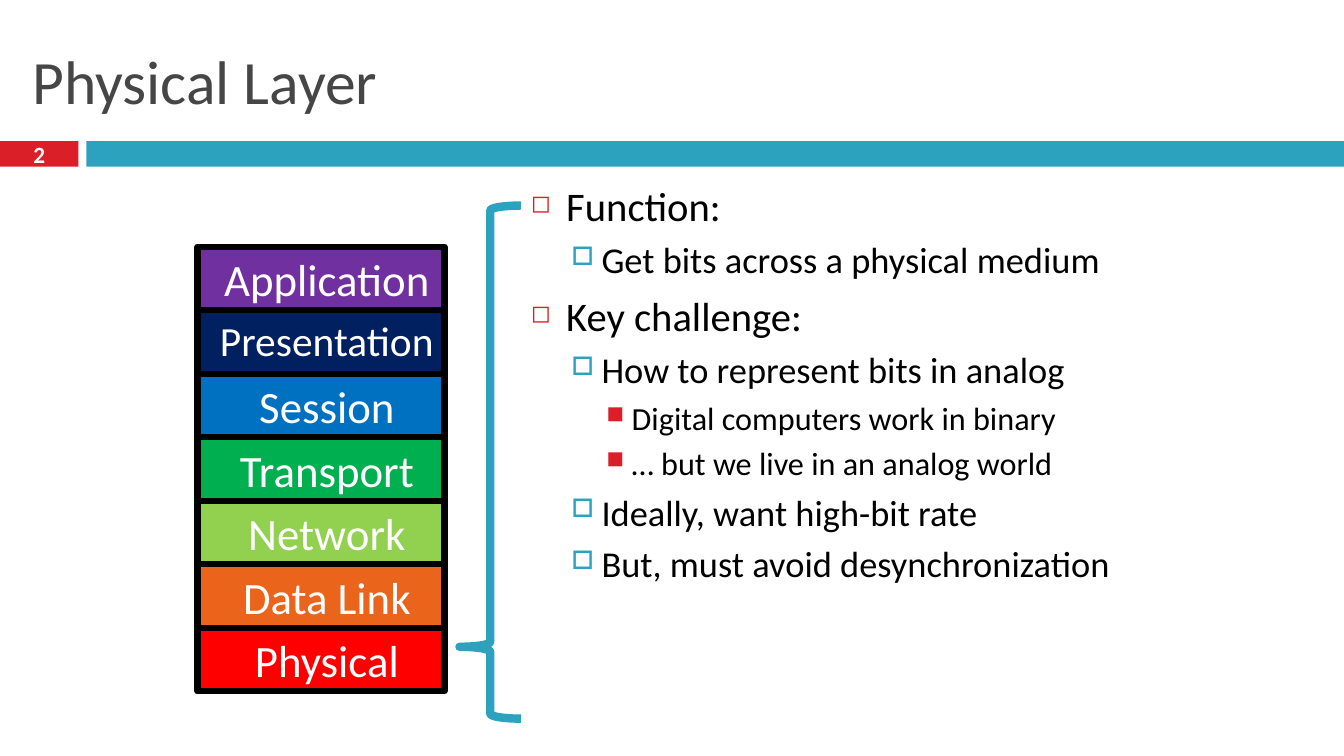
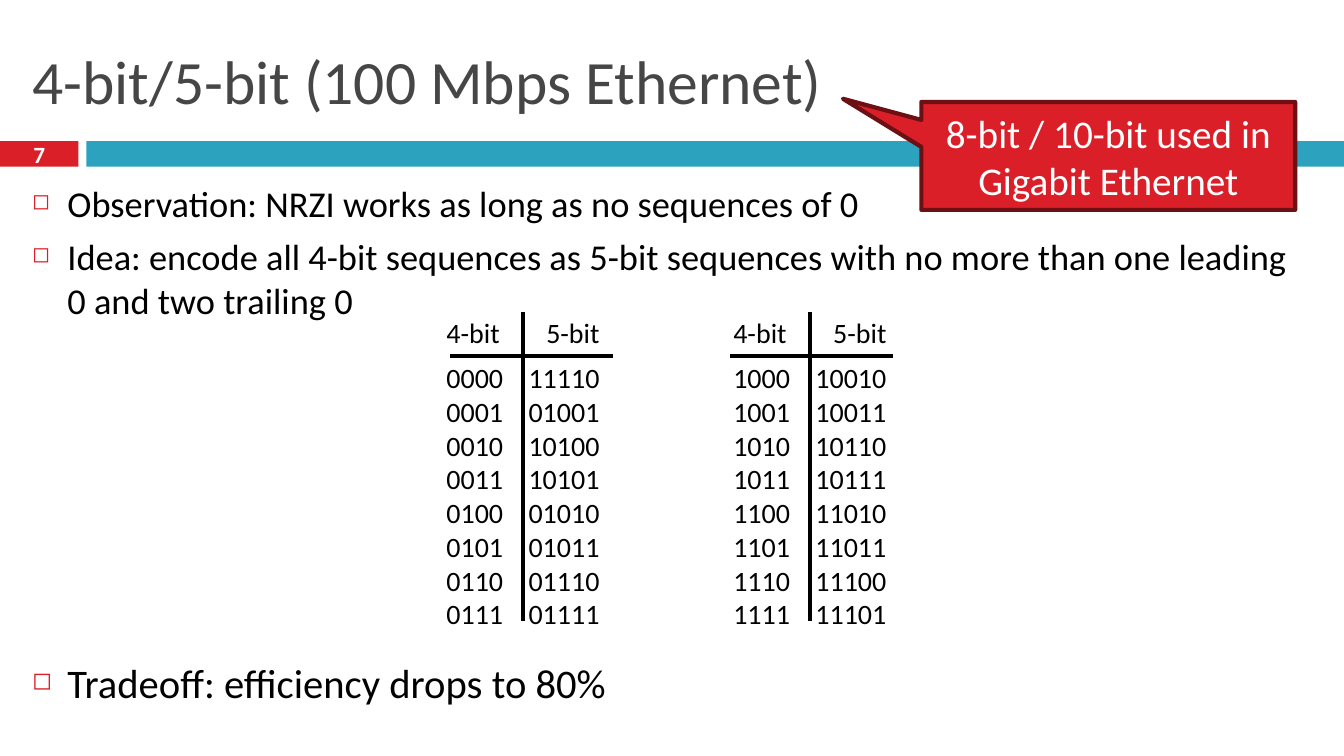
from dataclasses import dataclass

from lxml import etree
from pptx import Presentation
from pptx.dml.color import RGBColor
from pptx.enum import shapes, text
from pptx.oxml import ns
from pptx.util import Cm, Pt

FONT = "Calibri"
RED, TEAL, GREY = "DA1F28", "2DA2BF", "464646"
BLACK, WHITE, MAROON = "000000", "FFFFFF", "6D1014"
SLIDE_WIDTH, SLIDE_HEIGHT = 33.87, 19.05
LEFT, BODY_TOP, BODY_WIDTH = 0.56, 4.44, 32.74
LAYER_LEFT, LAYER_TOP, LAYER_WIDTH, LAYER_HEIGHT = 4.98, 6.22, 6.22, 1.6
CODE_TOP, HEADER_HEIGHT, ROW_HEIGHT, COLUMN_WIDTH = 7.85, 1.27, 0.85, 1.93
RULE_TOP, RULE_BOTTOM, RULE_Y, RULE_LENGTH = 7.87, 15.65, 8.97, 4.12


@dataclass(frozen=True)
class Level:
    margin: float
    hanging: float
    before: float
    mark: str
    color: str
    percent: int
    size: float


@dataclass(frozen=True)
class Bullet:
    words: str
    level: int = 0
    size: float | None = None


@dataclass(frozen=True)
class Layer:
    label: str
    color: str
    size: float = 32


@dataclass(frozen=True)
class CodeTable:
    left: float
    rule_left: float
    first: int
    codes: tuple[str, ...]


LEVELS = (
    Level(0.89, 0.89, 7, "◻", RED, 60, 29),
    Level(1.78, 0.76, 5.5, "□", TEAL, 70, 26),
    Level(2.54, 0.64, 5, "■", RED, 75, 23),
)

CHALLENGES = (
    Bullet("Function:"),
    Bullet("Get bits across a physical medium", 1),
    Bullet("Key challenge:"),
    Bullet("How to represent bits in analog", 1),
    Bullet("Digital computers work in binary", 2),
    Bullet("… but we live in an analog world", 2),
    Bullet("Ideally, want high-bit rate", 1),
    Bullet("But, must avoid desynchronization", 1),
)

LAYERS = (
    Layer("Application", "7030A0"),
    Layer("Presentation", "002060", 29.6),
    Layer("Session", "0070C0"),
    Layer("Transport", "00B050"),
    Layer("Network", "92D050"),
    Layer("Data Link", "EB641B"),
    Layer("Physical", "FF0000"),
)

ENCODING = (
    Bullet("Observation: NRZI works as long as no sequences of 0", size=26),
    Bullet("Idea: encode all 4-bit sequences as 5-bit sequences with no more "
           "than one leading 0 and two trailing 0", size=26),
)
TRADEOFF = (Bullet("Tradeoff: efficiency drops to 80%"),)

CODE_TABLES = (
    CodeTable(11.25, 11.33, 0, ("11110", "01001", "10100", "10101",
                                "01010", "01011", "01110", "01111")),
    CodeTable(18.48, 18.39, 8, ("10010", "10011", "10110", "10111",
                                "11010", "11011", "11100", "11101")),
)


def rgb(value: str) -> RGBColor:
    return RGBColor.from_string(value)


def style(paragraph, *, size: float, color: str = BLACK, bold: bool = False,
          align=text.PP_ALIGN.LEFT) -> None:
    paragraph.alignment = align
    font = paragraph.font
    font.name, font.size, font.bold = FONT, Pt(size), bold
    font.color.rgb = rgb(color)


def write(frame, words: str, *, anchor=text.MSO_ANCHOR.MIDDLE, **formatting) -> None:
    frame.word_wrap = True
    frame.auto_size = text.MSO_AUTO_SIZE.NONE
    frame.vertical_anchor = anchor
    frame.text = words
    style(frame.paragraphs[0], **formatting)


def add_block(slide, kind, left: float, top: float, width: float, height: float, *,
              fill: str | None = None, line: str | None = None, weight: float = 0):
    block = slide.shapes.add_shape(kind, Cm(left), Cm(top), Cm(width), Cm(height))
    block.shadow.inherit = False
    if fill:
        block.fill.solid()
        block.fill.fore_color.rgb = rgb(fill)
    else:
        block.fill.background()
    if line:
        block.line.color.rgb = rgb(line)
        block.line.width = Pt(weight)
    else:
        block.line.fill.background()
    return block


def add_rule(slide, x1: float, y1: float, x2: float, y2: float) -> None:
    rule = slide.shapes.add_connector(shapes.MSO_CONNECTOR.STRAIGHT,
                                      Cm(x1), Cm(y1), Cm(x2), Cm(y2))
    rule.line.color.rgb = rgb(BLACK)
    rule.line.width = Pt(3)
    etree.SubElement(rule._element.spPr, ns.qn("a:effectLst"))


def mark_bullet(paragraph, level: Level) -> None:
    properties = paragraph._p.get_or_add_pPr()
    properties.set("marL", str(Cm(level.margin)))
    properties.set("indent", str(-Cm(level.hanging)))
    tint = etree.SubElement(properties, ns.qn("a:buClr"))
    etree.SubElement(tint, ns.qn("a:srgbClr"), val=level.color)
    etree.SubElement(properties, ns.qn("a:buSzPct"), val=str(level.percent * 1000))
    etree.SubElement(properties, ns.qn("a:buChar"), char=level.mark)


def add_bullets(slide, bullets: tuple[Bullet, ...], left: float, top: float,
                width: float, height: float) -> None:
    frame = slide.shapes.add_textbox(Cm(left), Cm(top), Cm(width), Cm(height)).text_frame
    frame.word_wrap = True
    for index, bullet in enumerate(bullets):
        level = LEVELS[bullet.level]
        paragraph = frame.add_paragraph() if index else frame.paragraphs[0]
        paragraph.text = bullet.words
        mark_bullet(paragraph, level)
        if index:
            paragraph.space_before = Pt(level.before)
        style(paragraph, size=bullet.size or level.size)


def add_titled_slide(deck, heading: str, number: int):
    slide = deck.slides.add_slide(deck.slide_layouts[5])
    rectangle = shapes.MSO_SHAPE.RECTANGLE
    number_band = add_block(slide, rectangle, 0, 3.56, 1.98, 0.64, fill=RED)
    frame = number_band.text_frame
    frame.margin_top = frame.margin_bottom = 0
    write(frame, str(number), size=16.6, color=WHITE, bold=True,
          align=text.PP_ALIGN.CENTER)
    add_block(slide, rectangle, 2.18, 3.56, SLIDE_WIDTH - 2.18, 0.64, fill=TEAL)
    title = slide.shapes.title
    title.left, title.top = Cm(LEFT), Cm(0.64)
    title.width, title.height = Cm(BODY_WIDTH), Cm(2.74)
    write(title.text_frame, heading, size=44, color=GREY)
    return slide


def add_layer_stack(slide) -> None:
    for index, layer in enumerate(LAYERS):
        block = add_block(slide, shapes.MSO_SHAPE.RECTANGLE, LAYER_LEFT,
                          LAYER_TOP + index * LAYER_HEIGHT, LAYER_WIDTH, LAYER_HEIGHT,
                          fill=layer.color, line=BLACK, weight=4.5)
        frame = block.text_frame
        frame.margin_left, frame.margin_right = Cm(0.3), 0
        write(frame, layer.label, size=layer.size, color=WHITE,
              align=text.PP_ALIGN.CENTER, anchor=text.MSO_ANCHOR.TOP)


def add_code_table(slide, codes: CodeTable) -> None:
    rows = [("4-bit", "5-bit")]
    rows += [(f"{codes.first + i:04b}", code) for i, code in enumerate(codes.codes)]
    height = HEADER_HEIGHT + ROW_HEIGHT * len(codes.codes)
    table = slide.shapes.add_table(len(rows), 2, Cm(codes.left), Cm(CODE_TOP),
                                   Cm(2 * COLUMN_WIDTH), Cm(height)).table
    table.first_row = table.horz_banding = False
    for column in table.columns:
        column.width = Cm(COLUMN_WIDTH)
    for r, row in enumerate(rows):
        table.rows[r].height = Cm(ROW_HEIGHT if r else HEADER_HEIGHT)
        for c, value in enumerate(row):
            cell = table.cell(r, c)
            cell.fill.background()
            cell.margin_left = cell.margin_right = cell.margin_bottom = 0
            cell.margin_top = Cm(0 if r else 0.13)
            cell.text = value
            style(cell.text_frame.paragraphs[0], size=20,
                  align=text.PP_ALIGN.RIGHT if c else text.PP_ALIGN.LEFT)
    divider = codes.left + COLUMN_WIDTH
    add_rule(slide, codes.rule_left, RULE_Y, codes.rule_left + RULE_LENGTH, RULE_Y)
    add_rule(slide, divider, RULE_TOP, divider, RULE_BOTTOM)


def build_physical_layer(deck) -> None:
    slide = add_titled_slide(deck, "Physical Layer", 2)
    add_bullets(slide, CHALLENGES, 13.13, BODY_TOP, 16.48, 14.17)
    add_layer_stack(slide)
    brace = add_block(slide, shapes.MSO_SHAPE.LEFT_BRACE, 11.58, 5.18, 1.55, 12.93,
                      line=TEAL, weight=6)
    brace.adjustments[0], brace.adjustments[1] = 0.08, 0.86


def build_encoding(deck) -> None:
    slide = add_titled_slide(deck, "4-bit/5-bit (100 Mbps Ethernet)", 7)
    add_bullets(slide, ENCODING, LEFT, BODY_TOP, BODY_WIDTH, 3.8)
    add_bullets(slide, TRADEOFF, LEFT, 16.46, BODY_WIDTH, 1.5)
    for codes in CODE_TABLES:
        add_code_table(slide, codes)
    callout = add_block(slide, shapes.MSO_SHAPE.RECTANGULAR_CALLOUT,
                        23.22, 2.57, 9.42, 2.72, fill=RED, line=MAROON, weight=3)
    callout.adjustments[0], callout.adjustments[1] = -0.71, -0.53
    write(callout.text_frame, "8-bit / 10-bit used in Gigabit Ethernet",
          size=28, color=WHITE, align=text.PP_ALIGN.CENTER)


def main() -> None:
    deck = Presentation()
    deck.slide_width, deck.slide_height = Cm(SLIDE_WIDTH), Cm(SLIDE_HEIGHT)
    build_physical_layer(deck)
    build_encoding(deck)
    deck.save("out.pptx")


if __name__ == "__main__":
    main()
